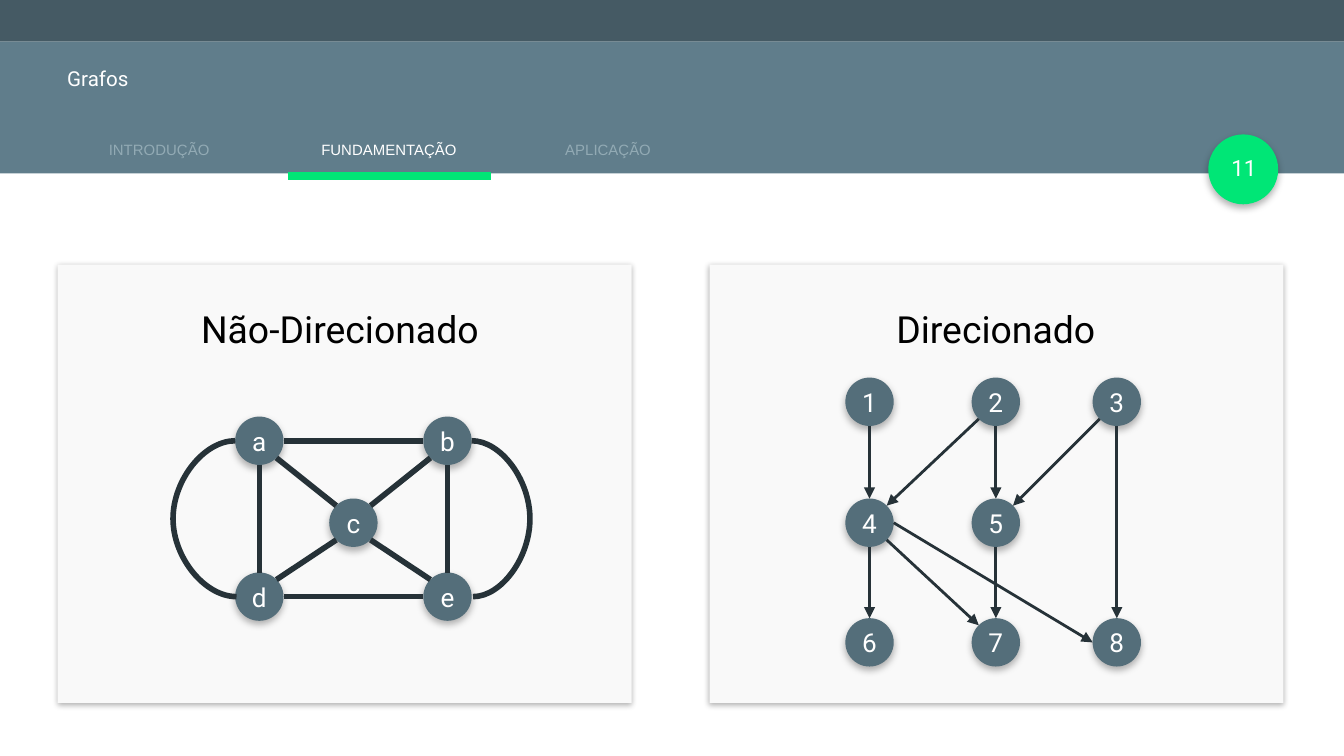
from math import sqrt

from lxml.etree import SubElement
from pptx import Presentation
from pptx.dml.color import RGBColor
from pptx.enum.shapes import MSO_CONNECTOR, MSO_SHAPE
from pptx.enum.text import MSO_ANCHOR, PP_ALIGN
from pptx.oxml.ns import qn
from pptx.util import Inches, Pt

WHITE = RGBColor(0xFF, 0xFF, 0xFF)
BLACK = RGBColor(0x00, 0x00, 0x00)
STATUS_BAR = RGBColor(0x45, 0x5A, 0x64)
APP_BAR = RGBColor(0x60, 0x7D, 0x8B)
ACCENT = RGBColor(0x00, 0xE6, 0x76)
FADED = RGBColor(0x92, 0xAA, 0xB4)
CARD = RGBColor(0xF9, 0xF9, 0xF9)
NODE = RGBColor(0x54, 0x6E, 0x7A)
EDGE = RGBColor(0x26, 0x32, 0x38)

WIDTH = 10
HEIGHT = WIDTH * 9 / 16
STATUS_HEIGHT, HEADER_BOTTOM = 0.31, 1.29
MARGIN = 0.43
TAB_WIDTH, TAB_STEP = 1.51, 1.67
CARD_STEP, CARD_TOP, CARD_WIDTH, CARD_HEIGHT = 4.85, 1.97, 4.27, 3.26
RADIUS = 0.18
DIAGONAL = 1 / sqrt(2)

# Points on a node's rim, as shares of its radius
RIM = {
    "N": (0, -1), "S": (0, 1), "W": (-1, 0), "E": (1, 0),
    "NW": (-DIAGONAL, -DIAGONAL), "NE": (DIAGONAL, -DIAGONAL),
    "SW": (-DIAGONAL, DIAGONAL), "SE": (DIAGONAL, DIAGONAL),
}

# Node centres
COLUMNS, ROWS = (6.47, 7.41, 8.31), (2.99, 3.89, 4.78)
UNDIRECTED = {"a": (1.93, 3.28), "b": (3.33, 3.28), "c": (2.63, 3.89),
              "d": (1.93, 4.44), "e": (3.33, 4.44)}
DIRECTED = {
    label: (COLUMNS[column], ROWS[row])
    for row, labels in enumerate(("123", "45", "678"))
    for column, label in enumerate(labels)
}

# Start node, its rim point, end node, its rim point
UNDIRECTED_EDGES = ("a SE c NW", "b SW c NE", "c SW d NE", "e NW c SE",
                    "e N b S", "b W a E", "e W d E", "d N a S")
DIRECTED_EDGES = ("1 S 4 N", "2 SW 4 NE", "2 S 5 N", "3 SW 5 NE", "3 S 8 N",
                  "4 S 6 N", "4 SE 7 NW", "4 E 8 W", "5 S 7 N")
# Start node, end node, rim point of both, bulge of the curve
LOOPS = (("a", "d", "W", -0.47), ("b", "e", "E", 0.44))


def write(frame, text, size, color, font="Roboto", align=PP_ALIGN.CENTER,
          anchor=MSO_ANCHOR.TOP, spacing=None, wrap=True):
    frame.margin_left = frame.margin_right = Inches(0.07)
    frame.margin_top = frame.margin_bottom = Inches(0.04)
    frame.word_wrap = wrap
    frame.vertical_anchor = anchor
    paragraph = frame.paragraphs[0]
    paragraph.alignment = align
    if spacing:
        paragraph.line_spacing = spacing
    run = paragraph.add_run()
    run.text = text
    run.font.name, run.font.size = font, Pt(size)
    run.font.color.rgb = color


def add_label(slide, x, y, width, height, text, size, color, **style):
    box = slide.shapes.add_textbox(*map(Inches, (x, y, width, height)))
    write(box.text_frame, text, size, color, **style)


def add_panel(slide, kind, x, y, width, height, color, blur=0, drop=0):
    panel = slide.shapes.add_shape(kind, *map(Inches, (x, y, width, height)))
    panel.fill.solid()
    panel.fill.fore_color.rgb = color
    panel.line.fill.background()
    panel.shadow.inherit = False
    if blur:
        effects = panel.element.spPr.find(qn("a:effectLst"))
        shadow = SubElement(effects, qn("a:outerShdw"), blurRad=str(Pt(blur)),
                            dist=str(Pt(drop)), dir="5400000", algn="t", rotWithShape="0")
        shade = SubElement(shadow, qn("a:srgbClr"), val=str(BLACK))
        SubElement(shade, qn("a:alpha"), val="30000")
    return panel


def add_circle(slide, center, radius, color):
    x, y = center
    return add_panel(slide, MSO_SHAPE.OVAL, x - radius, y - radius,
                     2 * radius, 2 * radius, color, blur=4, drop=2)


def add_line(slide, start, end, color, weight, kind=MSO_CONNECTOR.STRAIGHT, arrow=False):
    line = slide.shapes.add_connector(kind, *map(Inches, (*start, *end)))
    line.line.color.rgb = color
    line.line.width = Pt(weight)
    properties = line.element.spPr
    if arrow:
        SubElement(properties.find(qn("a:ln")), qn("a:tailEnd"), type="triangle")
    SubElement(properties, qn("a:effectLst"))
    return line


def rim_point(center, side):
    return tuple(c + RADIUS * share for c, share in zip(center, RIM[side]))


def add_loop(slide, start, end, bulge):
    # The bulge is given to the curve as a multiple of its narrow width
    narrow = 0.01
    loop = add_line(slide, start, (start[0] + narrow, end[1]), EDGE, 3,
                    kind=MSO_CONNECTOR.CURVE)
    guides = loop.element.spPr.find(qn("a:prstGeom")).get_or_add_avLst()
    SubElement(guides, qn("a:gd"), name="adj1", fmla=f"val {round(bulge / narrow * 100000)}")


def add_graph(slide, nodes, edges, weight, arrow):
    for label, center in nodes.items():
        node = add_circle(slide, center, RADIUS, NODE)
        write(node.text_frame, label, 14, WHITE, anchor=MSO_ANCHOR.MIDDLE, wrap=False)
    for edge in edges:
        first, exit_side, second, entry_side = edge.split()
        add_line(slide, rim_point(nodes[first], exit_side),
                 rim_point(nodes[second], entry_side), EDGE, weight, arrow=arrow)


def add_header(slide):
    add_panel(slide, MSO_SHAPE.RECTANGLE, 0, 0, WIDTH, STATUS_HEIGHT, STATUS_BAR)
    add_panel(slide, MSO_SHAPE.RECTANGLE, 0, STATUS_HEIGHT, WIDTH,
              HEADER_BOTTOM - STATUS_HEIGHT, APP_BAR)
    add_label(slide, MARGIN, 0.47, 9.21, 0.35, "Grafos", 11, WHITE,
              align=PP_ALIGN.LEFT, spacing=0.9)
    # Tabs, with the current one underlined
    for index, tab in enumerate(("INTRODUÇÃO", "FUNDAMENTAÇÃO", "APLICAÇÃO")):
        current = tab == "FUNDAMENTAÇÃO"
        x = MARGIN + index * TAB_STEP + (0.04 if current else 0)
        if current:
            add_line(slide, (x, 1.31), (x + TAB_WIDTH, 1.31), ACCENT, 4.5)
        add_label(slide, x, 1.01, TAB_WIDTH, 0.2, tab, 8,
                  WHITE if current else FADED, font="Arial")
    # Page number
    add_circle(slide, (9.25, 1.26), 0.26, ACCENT)
    add_label(slide, 8.96, 1.1, 0.59, 0.3, "11", 12, WHITE, anchor=MSO_ANCHOR.MIDDLE)


def main():
    presentation = Presentation()
    presentation.slide_width, presentation.slide_height = Inches(WIDTH), Inches(HEIGHT)
    slide = presentation.slides.add_slide(presentation.slide_layouts[6])
    add_header(slide)

    # Cards and their headings
    for index, (heading, x) in enumerate((("Não-Direcionado", 1.27), ("Direcionado", 6.15))):
        add_panel(slide, MSO_SHAPE.RECTANGLE, MARGIN + index * CARD_STEP, CARD_TOP,
                  CARD_WIDTH, CARD_HEIGHT, CARD, blur=3, drop=1)
        add_label(slide, x, 2.17, 2.52, 0.5, heading, 20, BLACK, spacing=1.2)

    # Graphs
    add_graph(slide, UNDIRECTED, UNDIRECTED_EDGES, weight=3, arrow=False)
    for first, second, side, bulge in LOOPS:
        add_loop(slide, rim_point(UNDIRECTED[first], side),
                 rim_point(UNDIRECTED[second], side), bulge)
    add_graph(slide, DIRECTED, DIRECTED_EDGES, weight=1.5, arrow=True)

    presentation.save("out.pptx")


if __name__ == "__main__":
    main()
